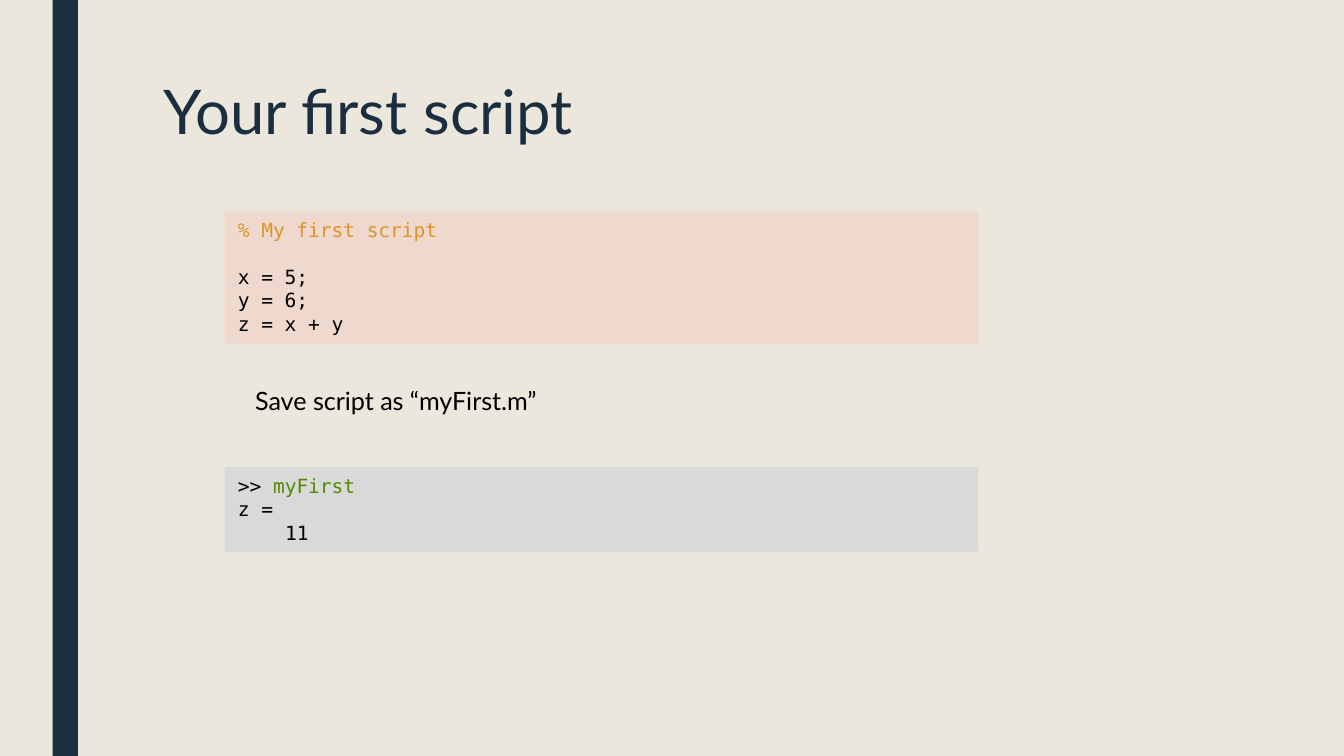
from pptx import Presentation
from pptx.dml.color import RGBColor
from pptx.enum import shapes, text
from pptx.util import Pt

NAVY, BLACK, ORANGE, GREEN = "1A2E40", "000000", "DC9528", "528A02"
SANS, MONO = "Lato", "DejaVu Sans Mono"
W, H = 720, 405
CODE_SIZE, CODE_LINE, CODE_CHAR = 10.5, 12.6, 6.32
CODE_LEFT, CODE_WIDTH = 120.4, 403.7

# Content: (text, left, top, width, height, size, colour, line spacing)
LABELS = [
    ("Your first script", 80.6, 40.3, 567.4, 87.8, 33, NAVY, 0.89),
    ("Save script as “myFirst.m”", 129.6, 203, 223.9, 23.8, 13.5, BLACK, 1),
]
# Code panels: (fill, top, height, lines); a line is
# (runs, blank lines before, characters of indent)
PANELS = [
    ("EFD8CD", 113.2, 70.9, [
        ([("% My first script", ORANGE)], 0, 0),
        ([("x = 5;", BLACK)], 1, 0),
        ([("y = 6;", BLACK)], 0, 0),
        ([("z = x + y", BLACK)], 0, 0),
    ]),
    ("D9D9D9", 250.2, 45.4, [
        ([(">> ", BLACK), ("myFirst", GREEN)], 0, 0),
        ([("z =", BLACK)], 0, 0),
        ([("11", BLACK)], 0, 4),
    ]),
]


def rgb(color):
    return RGBColor.from_string(color)


def add_rect(s, color, *box):
    sp = s.shapes.add_shape(shapes.MSO_SHAPE.RECTANGLE, *map(Pt, box))
    sp.shadow.inherit = False
    sp.fill.solid()
    sp.fill.fore_color.rgb = rgb(color)
    sp.line.fill.background()
    return sp


def style(r, size, font, color):
    r.font.size, r.font.name = Pt(size), font
    r.font.color.rgb = rgb(color)


def add_label(s, words, x, y, w, h, size, color, spacing):
    tf = s.shapes.add_textbox(*map(Pt, (x, y, w, h))).text_frame
    tf.word_wrap = True
    tf.text = words
    p = tf.paragraphs[0]
    p.line_spacing = spacing
    style(p.runs[0], size, SANS, color)


def add_panel(s, fill, top, height, lines):
    tf = add_rect(s, fill, CODE_LEFT, top, CODE_WIDTH, height).text_frame
    tf.word_wrap = True
    tf.vertical_anchor = text.MSO_ANCHOR.TOP
    for i, (runs, blanks, indent) in enumerate(lines):
        p = tf.add_paragraph() if i else tf.paragraphs[0]
        p.alignment = text.PP_ALIGN.LEFT
        p.space_before = Pt(blanks * CODE_LINE)
        if indent:
            p._p.get_or_add_pPr().set("marL", str(Pt(indent * CODE_CHAR)))
        for words, color in runs:
            r = p.add_run()
            r.text = words
            style(r, CODE_SIZE, MONO, color)


prs = Presentation()
prs.slide_width, prs.slide_height = Pt(W), Pt(H)
s = prs.slides.add_slide(prs.slide_layouts[6])

# Background and side bar
s.background.fill.solid()
s.background.fill.fore_color.rgb = rgb("EBE7DD")
add_rect(s, NAVY, 28.2, 0, 13.6, H)

# Code panels, then title and caption
for panel in PANELS:
    add_panel(s, *panel)
for label in LABELS:
    add_label(s, *label)

prs.save("out.pptx")
